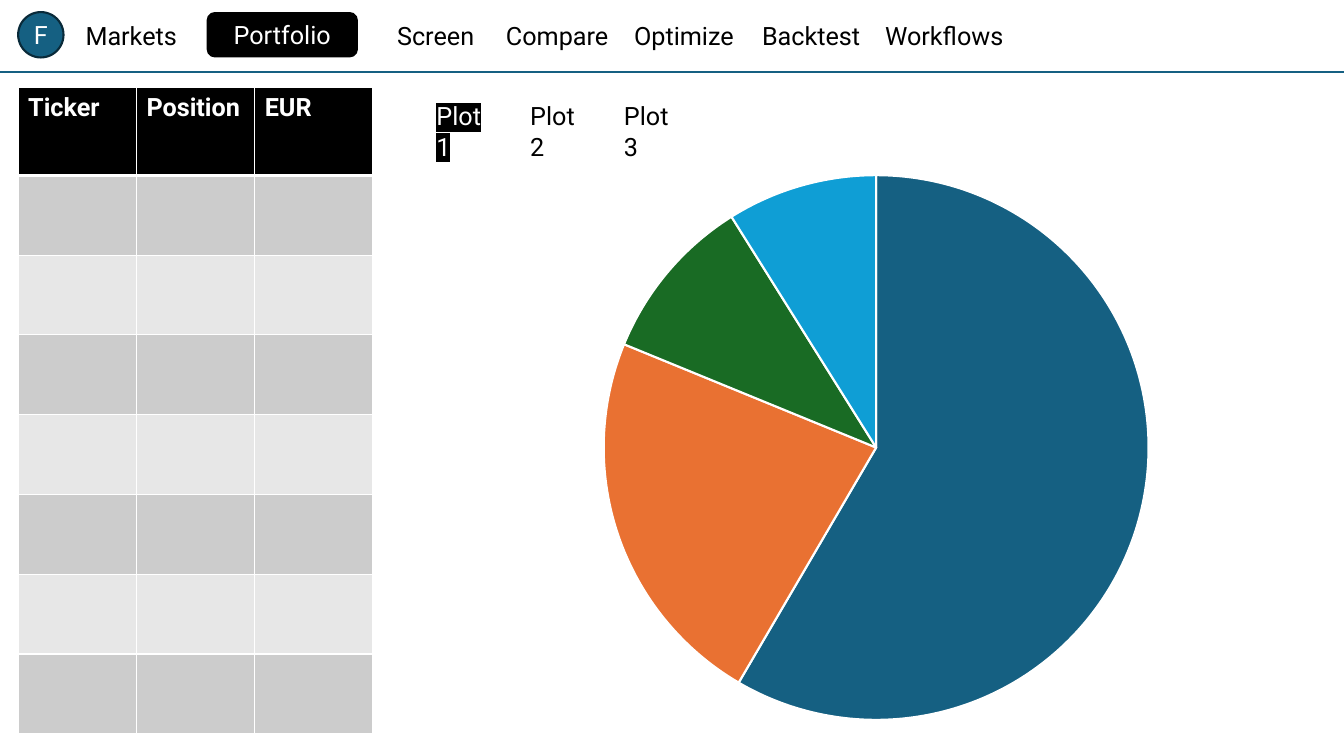
from lxml import etree
from pptx import Presentation, util as u
from pptx.chart.data import CategoryChartData
from pptx.dml.color import RGBColor
from pptx.enum import chart, shapes, text
from pptx.oxml.ns import qn

PX = 9144


def rgb(h):
    """Turn a hex string into a colour."""
    return RGBColor.from_string(h)


def px(*lengths):
    """Turn px lengths into EMU."""
    return [u.Emu(n * PX) for n in lengths]


class Board:
    """Hold the style and the current slide, and draw each kind of element."""

    font = "Roboto"
    size = 18
    blue, black, white = "156082", "000000", "FFFFFF"
    bands = "CCCCCC", "E7E7E7"

    def __init__(self, prs):
        """Add a blank slide."""
        self.s = prs.slides.add_slide(prs.slide_layouts[6])

    def add_text(self, tf, words, color, bold=False, align=None):
        """Add one formatted run and return it."""
        p = tf.paragraphs[0]
        p.alignment = align
        r = p.add_run()
        r.text = words
        r.font.color.rgb = rgb(color)
        style = {"name": self.font, "size": u.Pt(self.size), "bold": bold}
        for key, value in style.items():
            setattr(r.font, key, value)
        return r

    def line(self, x1, y1, x2, y2):
        """Draw a straight blue rule."""
        c = self.s.shapes.add_connector(shapes.MSO_CONNECTOR.STRAIGHT, *px(x1, y1, x2, y2))
        c.line.color.rgb = rgb(self.blue)
        c.line.width = u.Pt(1.5)
        etree.SubElement(c._element.spPr, qn("a:effectLst"))

    def shape(self, kind, box, words, fill, edge):
        """Draw a filled shape with centred white text."""
        sp = self.s.shapes.add_shape(kind, *px(*box))
        sp.shadow.inherit = False
        sp.fill.solid()
        sp.fill.fore_color.rgb = rgb(fill)
        sp.line.color.rgb = rgb(edge)
        sp.line.width = u.Pt(1.5)
        tf = sp.text_frame
        tf.vertical_anchor = text.MSO_ANCHOR.MIDDLE
        for side in ("left", "right", "top", "bottom"):
            setattr(tf, f"margin_{side}", 0)
        self.add_text(tf, words, self.white, align=text.PP_ALIGN.CENTER)

    def label(self, box, words, selected=False):
        """Place a text label, highlighted in black when selected."""
        tf = self.s.shapes.add_textbox(*px(*box)).text_frame
        tf.word_wrap = True
        tf.auto_size = text.MSO_AUTO_SIZE.SHAPE_TO_FIT_TEXT
        r = self.add_text(tf, words, self.white if selected else self.black)
        if selected:
            mark = etree.Element(qn("a:highlight"))
            etree.SubElement(mark, qn("a:srgbClr"), val=self.black)
            r.font._element.find(qn("a:solidFill")).addnext(mark)

    def border(self, cell, **widths):
        """Give a cell white borders, with widths in points by side."""
        tcPr = cell._tc.get_or_add_tcPr()
        for i, side in enumerate("LRTB"):
            ln = etree.Element(qn(f"a:ln{side}"), w=str(u.Pt(widths.get(side, 1))))
            fill = etree.SubElement(ln, qn("a:solidFill"))
            etree.SubElement(fill, qn("a:srgbClr"), val=self.white)
            tcPr.insert(i, ln)

    def table(self, box, heads, rows, head_height):
        """Draw a table with a black head and empty banded rows."""
        h = box[3]
        t = self.s.shapes.add_table(rows + 1, len(heads), *px(*box)).table
        for i, row in enumerate(t.rows):
            row.height = px(head_height)[0] if i == 0 else px(h - head_height)[0] // rows
            for j, cell in enumerate(row.cells):
                cell.fill.solid()
                cell.fill.fore_color.rgb = rgb(self.bands[(i - 1) % 2] if i else self.black)
                self.border(cell, **{0: {"B": 3}, 1: {"T": 3}}.get(i, {}))
                if i == 0:
                    self.add_text(cell.text_frame, heads[j], self.white, bold=True)

    def pie(self, box, values, colors):
        """Draw a pie chart with white edges between its slices."""
        data = CategoryChartData()
        data.categories = [str(i + 1) for i in range(len(values))]
        data.add_series("Series 1", values)
        ch = self.s.shapes.add_chart(chart.XL_CHART_TYPE.PIE, *px(*box), data).chart
        ch.has_legend = ch.has_title = False
        ch.font.name, ch.font.size = self.font, u.Pt(10)
        ch.font.color.rgb = rgb(self.black)
        ch.plots[0].vary_by_categories = True
        for i, color in enumerate(colors):
            f = ch.plots[0].series[0].points[i].format
            f.fill.solid()
            f.fill.fore_color.rgb = rgb(color)
            f.line.color.rgb = rgb(self.white)
            f.line.width = u.Pt(1.5)


def main():
    """Build the portfolio page."""
    prs = Presentation()
    prs.slide_width, prs.slide_height = px(1333, 750)
    b = Board(prs)
    kinds = shapes.MSO_SHAPE
    b.line(0, 71, 1333, 71)
    b.shape(kinds.ROUNDED_RECTANGLE, (206, 13, 148, 43), "Portfolio", b.black, b.black)
    b.table((18, 87, 352, 641), ["Ticker", "Position", "EUR"], 7, 87)
    b.shape(kinds.OVAL, (18, 12, 45, 45), "F", b.blue, "092A39")
    for i in range(3):
        b.label((423 + 93 * i, 95, 82, 40), f"Plot {i + 1}", selected=i == 0)
    b.pie((423, 160, 892, 568), (59, 23, 10, 9), (b.blue, "E97132", "196B24", "0F9ED5"))
    menu = {"Markets": 75, "Screen": 384, "Compare": 492, "Optimize": 619,
            "Backtest": 746, "Workflows": 868}
    for words, x in menu.items():
        b.label((x, 15, 131 if words == "Screen" else 201, 40), words)
    prs.save("out.pptx")


if __name__ == "__main__":
    main()
